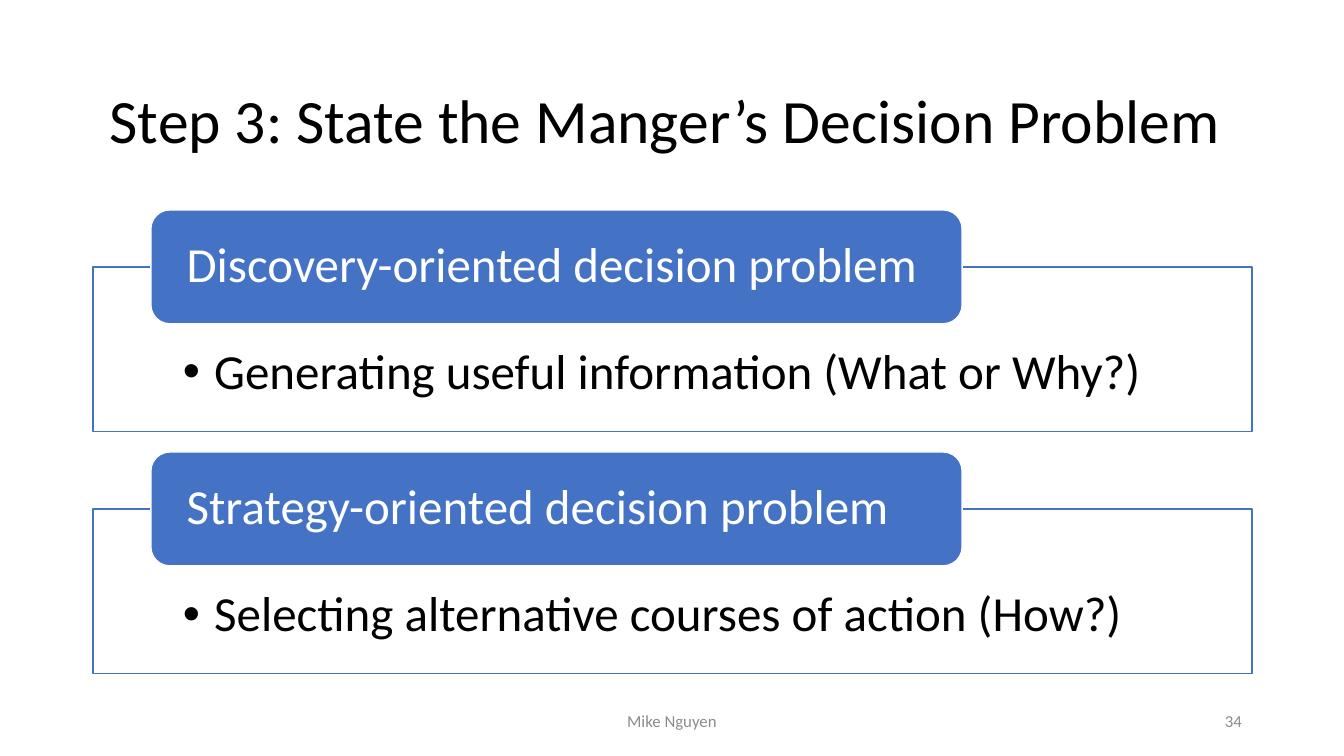
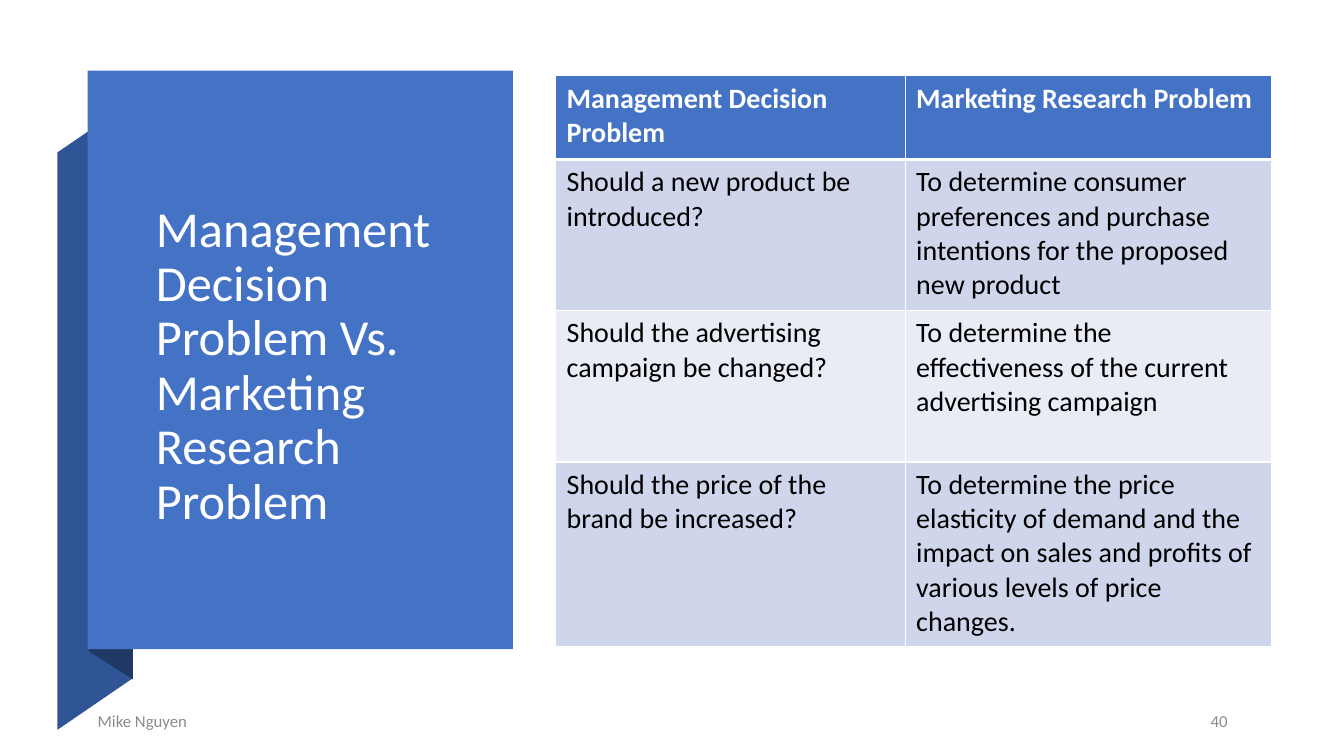
from pptx import Presentation
from pptx.dml.color import RGBColor
from pptx.enum.shapes import MSO_SHAPE
from pptx.enum.text import MSO_ANCHOR, PP_ALIGN
from pptx.oxml.ns import qn
from pptx.util import Cm, Pt
from lxml.etree import SubElement

FONT = "Calibri"
WHITE, BLACK, GREY = "FFFFFF", "000000", "8C8C8C"
BLUE, RIBBON_BLUE, FOLD_BLUE = "4472C4", "2F5597", "203864"
BANDS = ("CFD5EA", "E9EBF5")
TEXT_INSETS = (0.25, 0.13, 0.25, 0.13)

CARDS = [
    ("Discovery-oriented decision problem", "Generating useful information (What or Why?)"),
    ("Strategy-oriented decision problem", "Selecting alternative courses of action (How?)"),
]
PROBLEMS = [
    ("Management Decision Problem", "Marketing Research Problem"),
    ("Should a new product be introduced?",
     "To determine consumer preferences and purchase intentions for the proposed new product"),
    ("Should the advertising campaign be changed?",
     "To determine the effectiveness of the current advertising campaign"),
    ("Should the price of the brand be increased?",
     "To determine the price elasticity of demand and the impact on sales and profits "
     "of various levels of price changes."),
]


def color(hex_value):
    """Turn a hex string into a colour."""
    return RGBColor.from_string(hex_value)


def paint(shape, fill, line=None):
    """Give a shape a flat fill and an optional one-point outline."""
    shape.shadow.inherit = False
    shape.fill.solid()
    shape.fill.fore_color.rgb = color(fill)
    if line:
        shape.line.color.rgb = color(line)
        shape.line.width = Pt(1)
    else:
        shape.line.fill.background()


def write(frame, text, size, ink, align=PP_ALIGN.LEFT, spacing=1.0,
          anchor=MSO_ANCHOR.MIDDLE, insets=TEXT_INSETS, bold=False):
    """Write one styled paragraph into a text frame and return it."""
    frame.word_wrap = True
    frame.vertical_anchor = anchor
    (frame.margin_left, frame.margin_top,
     frame.margin_right, frame.margin_bottom) = map(Cm, insets)
    paragraph = frame.paragraphs[0]
    paragraph.alignment = align
    paragraph.line_spacing = spacing
    run = paragraph.add_run()
    run.text = text
    run.font.name = FONT
    run.font.size = Pt(size)
    run.font.bold = bold
    run.font.color.rgb = color(ink)
    return paragraph


def add_text(slide, box, text, size, ink, **style):
    """Add a text box at the given box."""
    write(slide.shapes.add_textbox(*map(Cm, box)).text_frame, text, size, ink, **style)


def add_title(slide, box, text, size, ink, align):
    """Add a slide title."""
    add_text(slide, box, text, size, ink, align=align, spacing=0.9)


def add_footer(slide, name_box, name_align, number_box, number):
    """Add the author name and the slide number."""
    add_text(slide, name_box, "Mike Nguyen", 12, GREY, align=name_align)
    add_text(slide, number_box, number, 12, GREY, align=PP_ALIGN.RIGHT)


def add_bullet(paragraph, indent):
    """Give a paragraph a hanging round bullet."""
    properties = paragraph._p.get_or_add_pPr()
    properties.set("marL", str(Cm(indent)))
    properties.set("indent", str(-Cm(indent)))
    SubElement(properties, qn("a:buFont"), typeface="Arial")
    SubElement(properties, qn("a:buChar"), char="•")


def add_card(slide, box, heading, detail):
    """Add an outlined card with a heading tab across its top edge."""
    left, top, width, height = box
    tab_height = 2.87
    body_box = (left, top + tab_height / 2, width, height - tab_height / 2)
    body = slide.shapes.add_shape(MSO_SHAPE.RECTANGLE, *map(Cm, body_box))
    paint(body, WHITE, BLUE)
    add_bullet(write(body.text_frame, detail, 35, BLACK, spacing=0.9,
                     anchor=MSO_ANCHOR.TOP, insets=(2.27, 2.03, 2.27, 0.69)), 0.79)
    tab_box = (left + width * 0.05, top, width * 0.7, tab_height)
    tab = slide.shapes.add_shape(MSO_SHAPE.ROUNDED_RECTANGLE, *map(Cm, tab_box))
    paint(tab, BLUE, WHITE)
    write(tab.text_frame, heading, 35, WHITE, spacing=0.9, insets=(0.76, 0, 0.76, 0))


def add_outline(slide, left, top, points, fill):
    """Add a filled polygon whose points are relative to a corner."""
    corners = [(Cm(left + x), Cm(top + y)) for x, y in points]
    builder = slide.shapes.build_freeform(*corners[0])
    builder.add_line_segments(corners[1:], close=True)
    paint(builder.convert_to_shape(), fill)


def add_ribbon_panel(slide, box, title):
    """Add the title panel with a ribbon folded behind it."""
    left, top, width, height = box
    add_outline(slide, left, top,
                [(-0.76, 16.61), (1.14, 15.31), (1.14, 0.76), (-0.76, 2.06)], RIBBON_BLUE)
    add_outline(slide, left, top,
                [(0.03, 14.63), (1.14, 15.34), (1.14, 0.73), (0.03, 0)], FOLD_BLUE)
    paint(slide.shapes.add_shape(MSO_SHAPE.RECTANGLE, *map(Cm, box)), BLUE)
    title_box = (left + 1.47, top + 2.46, 7.65, 10.01)
    add_title(slide, title_box, title, 36, WHITE, PP_ALIGN.LEFT)


def add_borders(cell, bottom):
    """Draw white cell borders with the given bottom width in points."""
    properties = cell._tc.get_or_add_tcPr()
    for side, width in (("L", 1), ("R", 1), ("T", 1), ("B", bottom)):
        line = SubElement(properties, qn(f"a:ln{side}"), w=str(Pt(width)))
        SubElement(SubElement(line, qn("a:solidFill")), qn("a:srgbClr"), val=WHITE)


def add_problem_table(slide, left, top, widths, heights):
    """Add the table that pairs decision problems with research problems."""
    size = map(Cm, (left, top, sum(widths), sum(heights)))
    table = slide.shapes.add_table(len(heights), len(widths), *size).table
    for column, width in zip(table.columns, widths):
        column.width = Cm(width)
    for index, (row, height, texts) in enumerate(zip(table.rows, heights, PROBLEMS)):
        row.height = Cm(height)
        header = index == 0
        for cell, text in zip(row.cells, texts):
            add_borders(cell, 3 if header else 1)
            cell.fill.solid()
            cell.fill.fore_color.rgb = color(BLUE if header else BANDS[(index - 1) % 2])
            write(cell.text_frame, text, 20, WHITE if header else BLACK, bold=header)
            cell.vertical_anchor = MSO_ANCHOR.TOP
            cell.margin_left = cell.margin_right = Cm(0.28)
            cell.margin_top = cell.margin_bottom = Cm(0.14)


def build_cards_slide(slide):
    """Build the slide on the two kinds of decision problem."""
    left, width = 2.34, 29.21
    add_title(slide, (left, 1.55, width, 3.15),
              "Step 3: State the Manger’s Decision Problem ", 44, BLACK, PP_ALIGN.CENTER)
    add_footer(slide, (11.22, 17.65, 11.43, 1.02), PP_ALIGN.CENTER,
               (23.93, 17.65, 7.62, 1.02), "34")
    for index, (heading, detail) in enumerate(CARDS):
        add_card(slide, (left, 5.29 + index * 6.1, width, 5.58), heading, detail)


def build_table_slide(slide):
    """Build the slide comparing decision and research problems."""
    add_ribbon_panel(slide, (2.21, 1.78, 10.72, 14.58),
                     "Management Decision Problem Vs. Marketing Research Problem")
    add_footer(slide, (2.21, 17.73, 19.2, 0.89), PP_ALIGN.LEFT,
               (29.29, 17.73, 1.9, 0.89), "40")
    add_problem_table(slide, 14, 1.91, (8.81, 9.23), (2.11, 3.81, 3.81, 4.65))


def main():
    """Build and save the presentation."""
    presentation = Presentation()
    presentation.slide_width, presentation.slide_height = Cm(33.87), Cm(19.05)
    for build in (build_cards_slide, build_table_slide):
        build(presentation.slides.add_slide(presentation.slide_layouts[6]))
    presentation.save("out.pptx")


if __name__ == "__main__":
    main()
